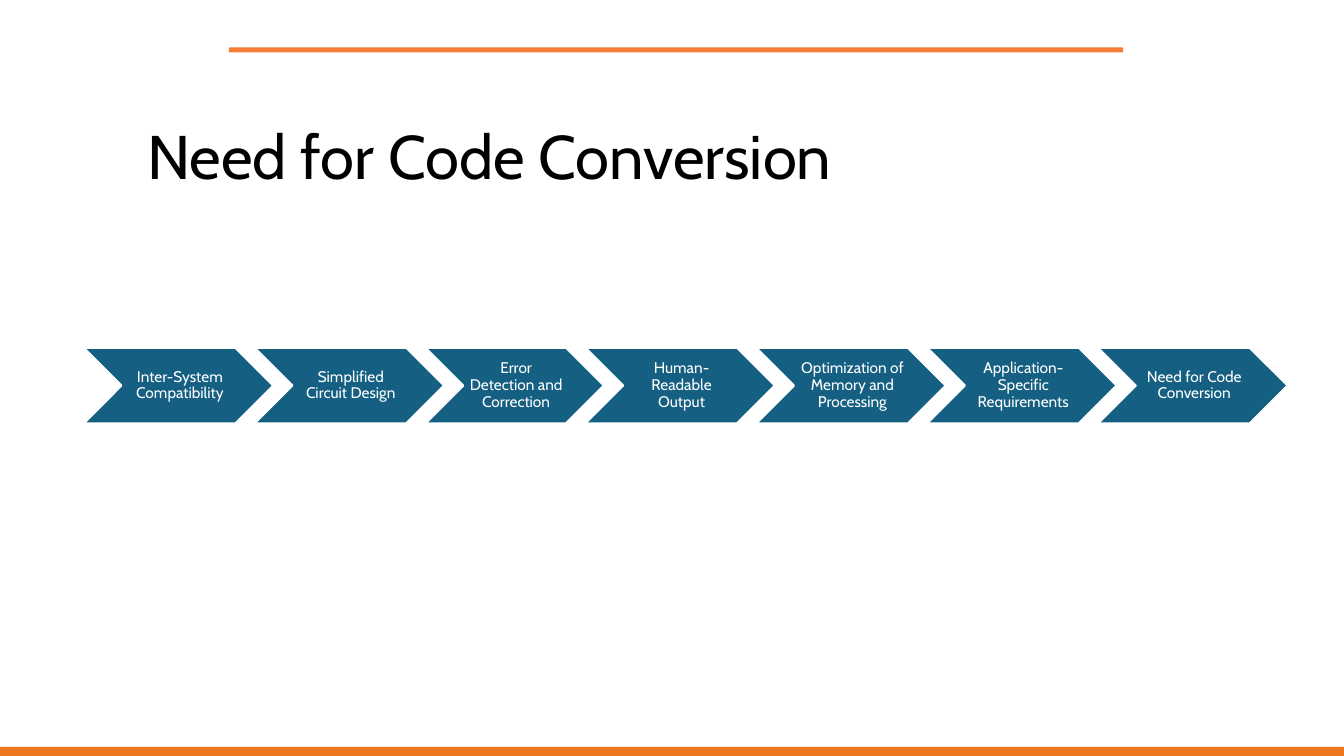
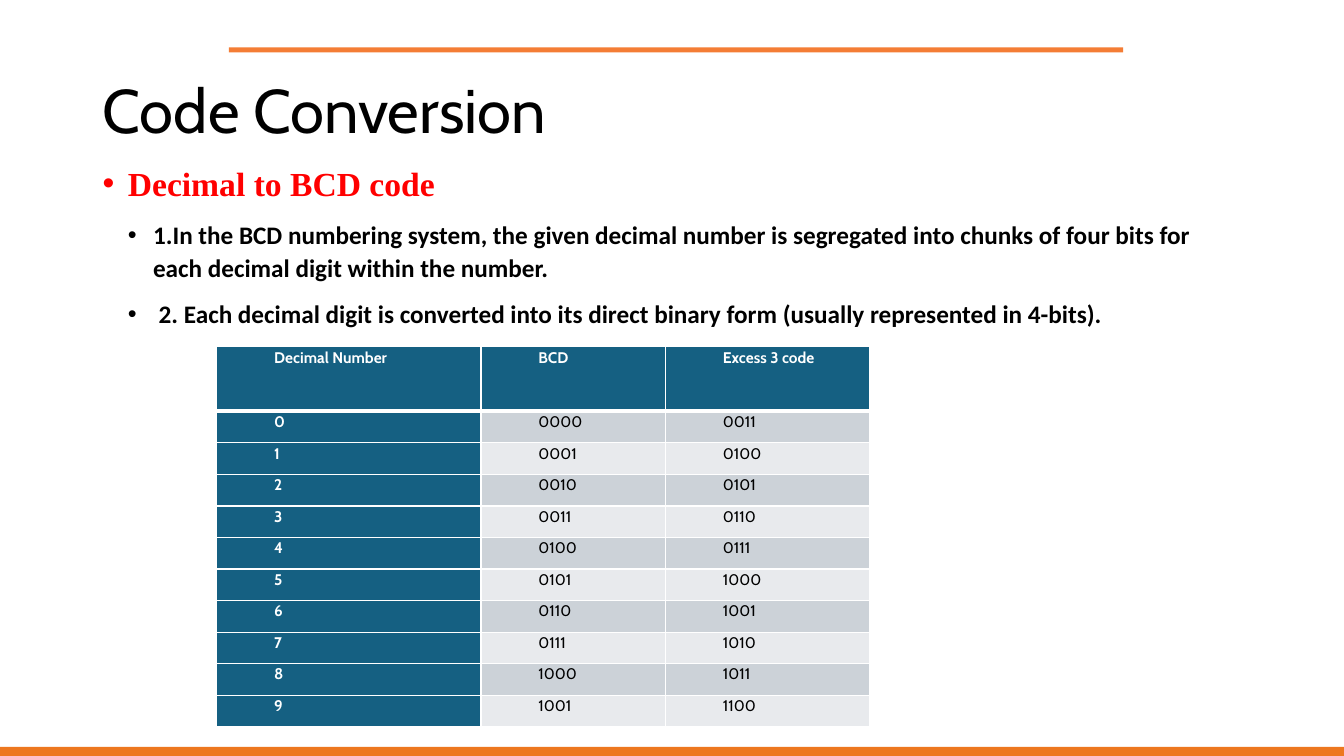
from lxml.etree import SubElement
from pptx import Presentation
from pptx.dml.color import RGBColor
from pptx.enum.shapes import MSO_SHAPE as Preset
from pptx.enum.text import MSO_ANCHOR as Anchor, PP_ALIGN as Align
from pptx.oxml.ns import qn
from pptx.util import Inches, Pt

WHITE = RGBColor(0xFF, 0xFF, 0xFF)
BLACK = RGBColor(0x00, 0x00, 0x00)
RED = RGBColor(0xFF, 0x00, 0x00)
TEAL = RGBColor(0x15, 0x60, 0x82)
TOP_ORANGE = RGBColor(0xF4, 0x7D, 0x35)
FOOTER_ORANGE = RGBColor(0xED, 0x77, 0x1F)
DARK_STRIPE = RGBColor(0xCC, 0xD2, 0xD8)
LIGHT_STRIPE = RGBColor(0xE8, 0xEA, 0xED)

MAIN_FONT = "Cabin"
SLIDE_WIDTH, SLIDE_HEIGHT = 13.33, 7.5
TITLE_ONLY = 5

# Each step has a label and a chevron width.
STEPS = [
    ("Inter-System Compatibility", 1.88),
    ("Simplified Circuit Design", 1.88),
    ("Error Detection and Correction", 1.77),
    ("Human-Readable Output", 1.88),
    ("Optimization of Memory and Processing", 1.88),
    ("Application-Specific Requirements", 1.88),
    ("Need for Code Conversion", 1.88),
]
STEPS_LEFT, STEPS_RIGHT = 0.83, 12.77

RULES = [
    "1.In the BCD numbering system, the given decimal number is segregated "
    "into chunks of four bits for each decimal digit within the number.",
    " 2. Each decimal digit is converted into its direct binary form "
    "(usually represented in 4-bits).",
]

CODE_HEADERS = ("Decimal Number", "BCD", "Excess 3 code")
CODE_ROWS = [(str(digit), f"{digit:04b}", f"{digit + 3:04b}") for digit in range(10)]
COLUMN_WIDTHS = (2.62, 1.83, 2.03)
TABLE_HEIGHT, HEADER_HEIGHT = 3.77, 0.64


def write(paragraph, text, size=11, font=MAIN_FONT, color=BLACK, bold=False,
          align=Align.LEFT, spacing=0.9, before=0, indent=0, bullet=False):
    properties = paragraph._p.get_or_add_pPr()
    if indent:
        properties.set("marL", str(Inches(indent)))
        properties.set("indent", str(Inches(-0.25 if bullet else 0)))
    if bullet:
        SubElement(properties, qn("a:buFont"), typeface="Arial")
        SubElement(properties, qn("a:buChar"), char="•")
    paragraph.alignment = align
    paragraph.line_spacing = spacing
    paragraph.space_before = Pt(before)
    run = paragraph.add_run()
    run.text = text
    run.font.size = Pt(size)
    run.font.name = font
    run.font.bold = bold
    run.font.color.rgb = color


def set_insets(target, left, top, right, bottom):
    target.margin_left, target.margin_right = Inches(left), Inches(right)
    target.margin_top, target.margin_bottom = Inches(top), Inches(bottom)


def add_filled_shape(slide, preset, left, top, width, height, color):
    shape = slide.shapes.add_shape(
        preset, Inches(left), Inches(top), Inches(width), Inches(height))
    shape.shadow.inherit = False
    shape.fill.solid()
    shape.fill.fore_color.rgb = color
    shape.line.fill.background()
    return shape


def add_titled_slide(presentation, title_text, left, top):
    """Add a slide with its title and the orange bands every slide has."""
    slide = presentation.slides.add_slide(presentation.slide_layouts[TITLE_ONLY])
    add_filled_shape(slide, Preset.RECTANGLE, 2.27, 0.47, 8.87, 0.05, TOP_ORANGE)
    add_filled_shape(slide, Preset.RECTANGLE, 0, 7.41, SLIDE_WIDTH, 0.09, FOOTER_ORANGE)
    title = slide.shapes.title
    title.left, title.top = Inches(left), Inches(top)
    title.width, title.height = Inches(11.5), Inches(1.45)
    title.text_frame.vertical_anchor = Anchor.MIDDLE
    write(title.text_frame.paragraphs[0], title_text, size=44)
    return slide


def add_step_chain(slide):
    """Draw the chevrons with equal overlaps between the two outer edges."""
    total_width = sum(width for _, width in STEPS)
    overlap = (total_width - (STEPS_RIGHT - STEPS_LEFT)) / (len(STEPS) - 1)
    left = STEPS_LEFT
    for label, width in STEPS:
        chevron = add_filled_shape(slide, Preset.CHEVRON, left, 3.45, width, 0.75, TEAL)
        chevron.line.color.rgb = WHITE
        chevron.line.width = Pt(1.5)
        frame = chevron.text_frame
        frame.word_wrap = True
        frame.vertical_anchor = Anchor.MIDDLE
        set_insets(frame, 0.05, 0.02, 0.02, 0.02)
        write(frame.paragraphs[0], label, color=WHITE, align=Align.CENTER)
        left += width - overlap


def add_rules(slide):
    box = slide.shapes.add_textbox(Inches(0.92), Inches(1.61), Inches(11.5), Inches(1.8))
    frame = box.text_frame
    frame.word_wrap = True
    write(frame.paragraphs[0], "Decimal to BCD code", size=24, font="Times New Roman",
          color=RED, bold=True, indent=0.25, bullet=True)
    for rule in RULES:
        write(frame.add_paragraph(), rule, size=18, font="Calibri", bold=True,
              spacing=1.07, before=10, indent=0.5, bullet=True)


def set_borders(cell, **widths):
    """Give the cell white borders; widths are in points by side (L, R, T, B)."""
    properties = cell._tc.get_or_add_tcPr()
    for side, width in widths.items():
        line = SubElement(properties, qn(f"a:ln{side}"), w=str(Pt(width)))
        fill = SubElement(line, qn("a:solidFill"))
        SubElement(fill, qn("a:srgbClr"), val=str(WHITE))


def add_code_table(slide):
    rows = [CODE_HEADERS, *CODE_ROWS]
    table = slide.shapes.add_table(
        len(rows), len(COLUMN_WIDTHS), Inches(2.15), Inches(3.44),
        Inches(sum(COLUMN_WIDTHS)), Inches(TABLE_HEIGHT)).table
    table.first_row = table.horz_banding = False
    for column, width in zip(table.columns, COLUMN_WIDTHS):
        column.width = Inches(width)
    body_height = (TABLE_HEIGHT - HEADER_HEIGHT) / len(CODE_ROWS)
    for row_index, texts in enumerate(rows):
        table.rows[row_index].height = Inches(body_height if row_index else HEADER_HEIGHT)
        stripe = DARK_STRIPE if row_index % 2 else LIGHT_STRIPE
        for column_index, text in enumerate(texts):
            cell = table.cell(row_index, column_index)
            heading = row_index == 0 or column_index == 0
            set_insets(cell, 0.07, 0, 0.07, 0)
            set_borders(cell, L=1, R=1, T=3 if row_index == 1 else 1,
                        B=1 if row_index else 3)
            cell.fill.solid()
            cell.fill.fore_color.rgb = TEAL if heading else stripe
            write(cell.text_frame.paragraphs[0], text, bold=heading,
                  color=WHITE if heading else BLACK, spacing=1.07, indent=0.5)


def main():
    presentation = Presentation()
    presentation.slide_width = Inches(SLIDE_WIDTH)
    presentation.slide_height = Inches(SLIDE_HEIGHT)

    add_step_chain(add_titled_slide(presentation, "Need for Code Conversion", 1.36, 0.86))

    conversion = add_titled_slide(presentation, "Code Conversion", 0.92, 0.4)
    add_rules(conversion)
    add_code_table(conversion)

    presentation.save("out.pptx")


if __name__ == "__main__":
    main()
